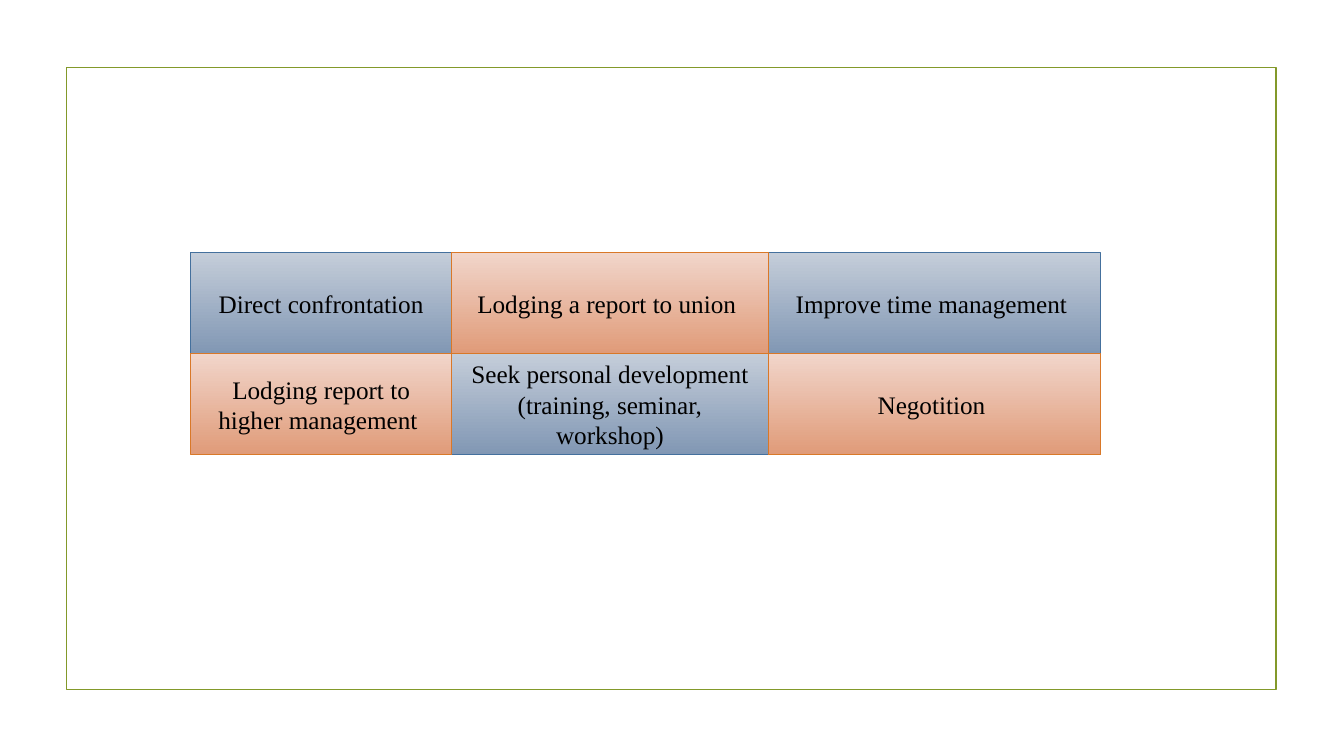
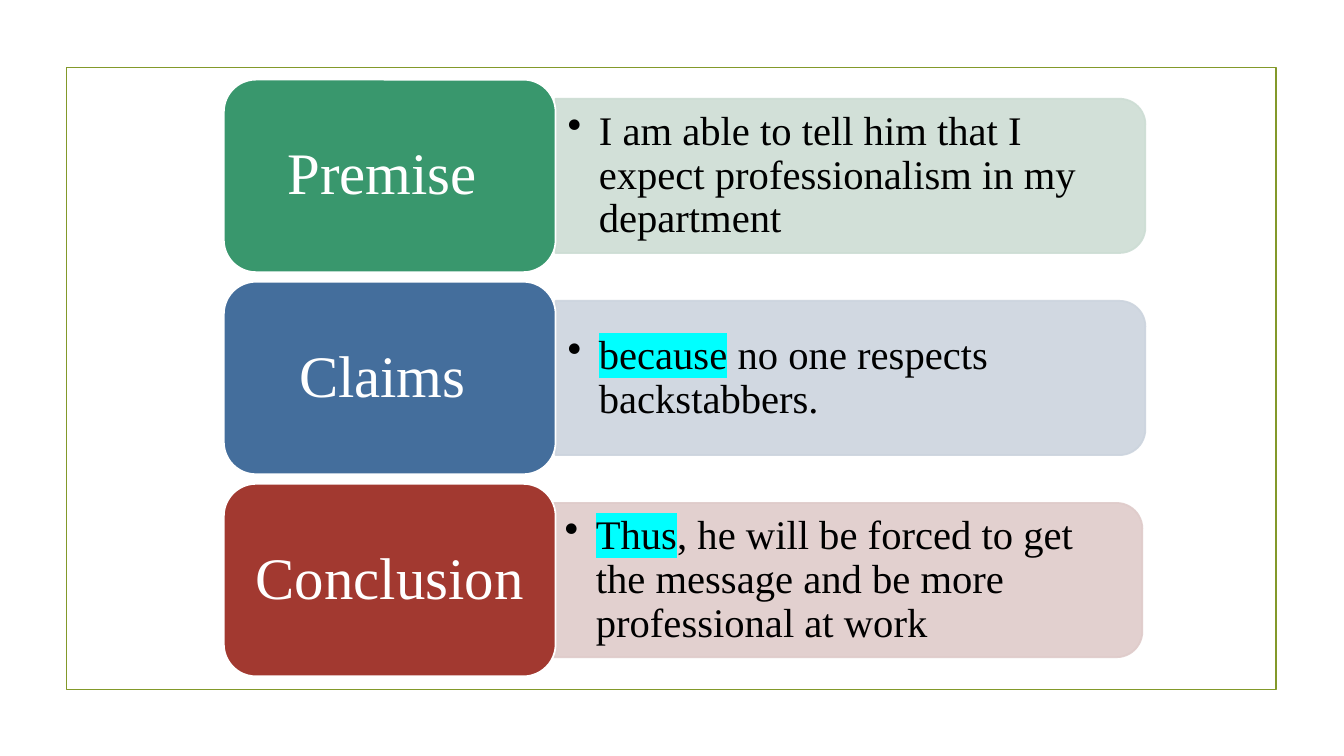
from lxml.etree import SubElement
from pptx import Presentation
from pptx.dml.color import RGBColor
from pptx.enum.shapes import MSO_SHAPE
from pptx.enum.text import MSO_ANCHOR, PP_ALIGN
from pptx.oxml.ns import qn
from pptx.util import Inches, Pt

FONT = "Times New Roman"
BLACK = RGBColor(0x00, 0x00, 0x00)
WHITE = RGBColor(0xFF, 0xFF, 0xFF)
OLIVE = RGBColor(0x83, 0x99, 0x2A)
BLUE_CELL = (RGBColor(0xC4, 0xCD, 0xD9), RGBColor(0x81, 0x97, 0xB4), RGBColor(0x44, 0x70, 0x9D))
ORANGE_CELL = (RGBColor(0xF1, 0xD5, 0xCA), RGBColor(0xE0, 0x9B, 0x79), RGBColor(0xD9, 0x78, 0x28))
GREEN_STEP = (RGBColor(0x39, 0x97, 0x6D), RGBColor(0xCD, 0xDD, 0xD4))
BLUE_STEP = (RGBColor(0x44, 0x6E, 0x9C), RGBColor(0xCC, 0xD4, 0xDE))
RED_STEP = (RGBColor(0xA2, 0x39, 0x30), RGBColor(0xDF, 0xCB, 0xCA))
CYAN = "00FFFF"
BAR_OPACITY = "89000"

ACTIONS = [
    ["Direct confrontation", "Lodging a report to union ", "Improve time management "],
    ["Lodging report to higher management ",
     "Seek personal development (training, seminar, workshop)", "Negotition "],
]
STEPS = [
    ("Premise ", "", "I am able to tell him that I expect professionalism in my department", GREEN_STEP, 0),
    ("Claims ", "because", " no one respects backstabbers.", BLUE_STEP, 0),
    ("Conclusion ", "Thus",
     ", he will be forced to get the message and be more professional at work", RED_STEP, -0.03),
]


def add_panel(page, kind, box, line_color, line_width):
    """Add an outlined shape without shadow in a box of inches."""
    panel = page.shapes.add_shape(kind, *map(Inches, box))
    panel.shadow.inherit = False
    panel.line.color.rgb = line_color
    panel.line.width = Pt(line_width)
    return panel


def set_frame(frame, side, edge):
    """Wrap and centre a text frame vertically inside its margins."""
    frame.word_wrap = True
    frame.vertical_anchor = MSO_ANCHOR.MIDDLE
    frame.margin_left = frame.margin_right = Inches(side)
    frame.margin_top = frame.margin_bottom = Inches(edge)


def style_span(span, size, color):
    """Give a run the deck font, a size and a colour."""
    span.font.name = FONT
    span.font.size = Pt(size)
    span.font.color.rgb = color


def write_centred(panel, text, size, color, side, edge):
    """Write one centred paragraph in a shape."""
    frame = panel.text_frame
    set_frame(frame, side, edge)
    frame.text = text
    para = frame.paragraphs[0]
    para.alignment = PP_ALIGN.CENTER
    style_span(para.runs[0], size, color)
    return para


def add_layout_frame(layout, page):
    """Put the thin olive frame on the layout that all slides use."""
    border = add_panel(page, MSO_SHAPE.RECTANGLE, (0.66, 0.67, 12, 6.17), OLIVE, 1.25)
    border.fill.background()
    layout.shapes._spTree.append(border._element)


def add_cell(page, box, text, colors):
    """Draw one gradient cell with its text."""
    top_color, bottom_color, line_color = colors
    cell = add_panel(page, MSO_SHAPE.RECTANGLE, box, line_color, 0.75)
    cell.fill.gradient()
    cell.fill.gradient_angle = 270
    for stop, color, position in zip(cell.fill.gradient_stops, (top_color, bottom_color), (0, 1)):
        stop.color.rgb = color
        stop.position = position
    write_centred(cell, text, 18, BLACK, 0.1, 0.05)


def add_action_grid(page, left, top, widths, row_height):
    """Draw a checkerboard of actions, blue cells below orange ones."""
    for parity, colors in enumerate((BLUE_CELL, ORANGE_CELL)):
        for row, texts in enumerate(ACTIONS):
            for column, text in enumerate(texts):
                if (row + column) % 2 == parity:
                    box = (left + sum(widths[:column]), top + row * row_height,
                           widths[column], row_height)
                    add_cell(page, box, text, colors)


def add_bar(page, left, top, width, height, color):
    """Draw a translucent bar whose right corners are rounded."""
    box = (left + (width - height) / 2, top + (height - width) / 2, height, width)
    bar = add_panel(page, MSO_SHAPE.ROUND_2_SAME_RECTANGLE, box, color, 1.25)
    bar.rotation = 90
    bar.fill.solid()
    bar.fill.fore_color.rgb = color
    for tone in bar._element.spPr.iter(qn("a:srgbClr")):
        SubElement(tone, qn("a:alpha"), val=BAR_OPACITY)


def add_bullet(page, box, keyword, rest):
    """Write a bulleted sentence that opens with a highlighted keyword."""
    frame = page.shapes.add_textbox(*map(Inches, box)).text_frame
    set_frame(frame, 0.12, 0.06)
    para = frame.paragraphs[0]
    properties = para._p.get_or_add_pPr()
    properties.set("marL", str(Inches(0.31)))
    properties.set("indent", str(Inches(-0.31)))
    bullet_color = SubElement(properties, qn("a:buClr"))
    SubElement(bullet_color, qn("a:srgbClr"), val=str(BLACK))
    SubElement(properties, qn("a:buChar"), char="•")
    para.line_spacing = 0.9
    for text in filter(None, (keyword, rest)):
        span = para.add_run()
        span.text = text
        style_span(span, 29, BLACK)
        if text == keyword:
            run_properties = span._r.get_or_add_rPr()
            highlight = SubElement(run_properties, qn("a:highlight"))
            SubElement(highlight, qn("a:srgbClr"), val=CYAN)
            run_properties.find(qn("a:solidFill")).addnext(highlight)


def add_step(page, left, top, step):
    """Draw a step: a label block and the bar with its sentence."""
    label, keyword, rest, (block_color, bar_color), shift = step
    block_width, block_height = 3.29, 1.91
    bar_height, text_height = 1.53, 1.38
    bar_left = left + block_width + shift
    add_bar(page, bar_left, top + (block_height - bar_height) / 2, 5.85, bar_height, bar_color)
    text_top = top + (block_height - text_height) / 2
    add_bullet(page, (bar_left, text_top, 5.77, text_height), keyword, rest)
    block = add_panel(page, MSO_SHAPE.ROUNDED_RECTANGLE,
                      (left, top, block_width, block_height), WHITE, 1.25)
    block.fill.solid()
    block.fill.fore_color.rgb = block_color
    write_centred(block, label, 42, WHITE, 0.17, 0.09).line_spacing = 0.9


def main():
    """Build and save the deck."""
    deck = Presentation()
    deck.slide_width, deck.slide_height = Inches(13.33), Inches(7.5)
    layout = deck.slide_layouts[6]
    actions_page, steps_page = (deck.slides.add_slide(layout) for _ in range(2))
    add_layout_frame(layout, actions_page)
    add_action_grid(actions_page, 1.89, 2.51, (2.59, 3.14, 3.3), 1)
    for row, step in enumerate(STEPS):
        add_step(steps_page, 2.22, 0.79 + row * 2.005, step)
    deck.save("out.pptx")


if __name__ == "__main__":
    main()
